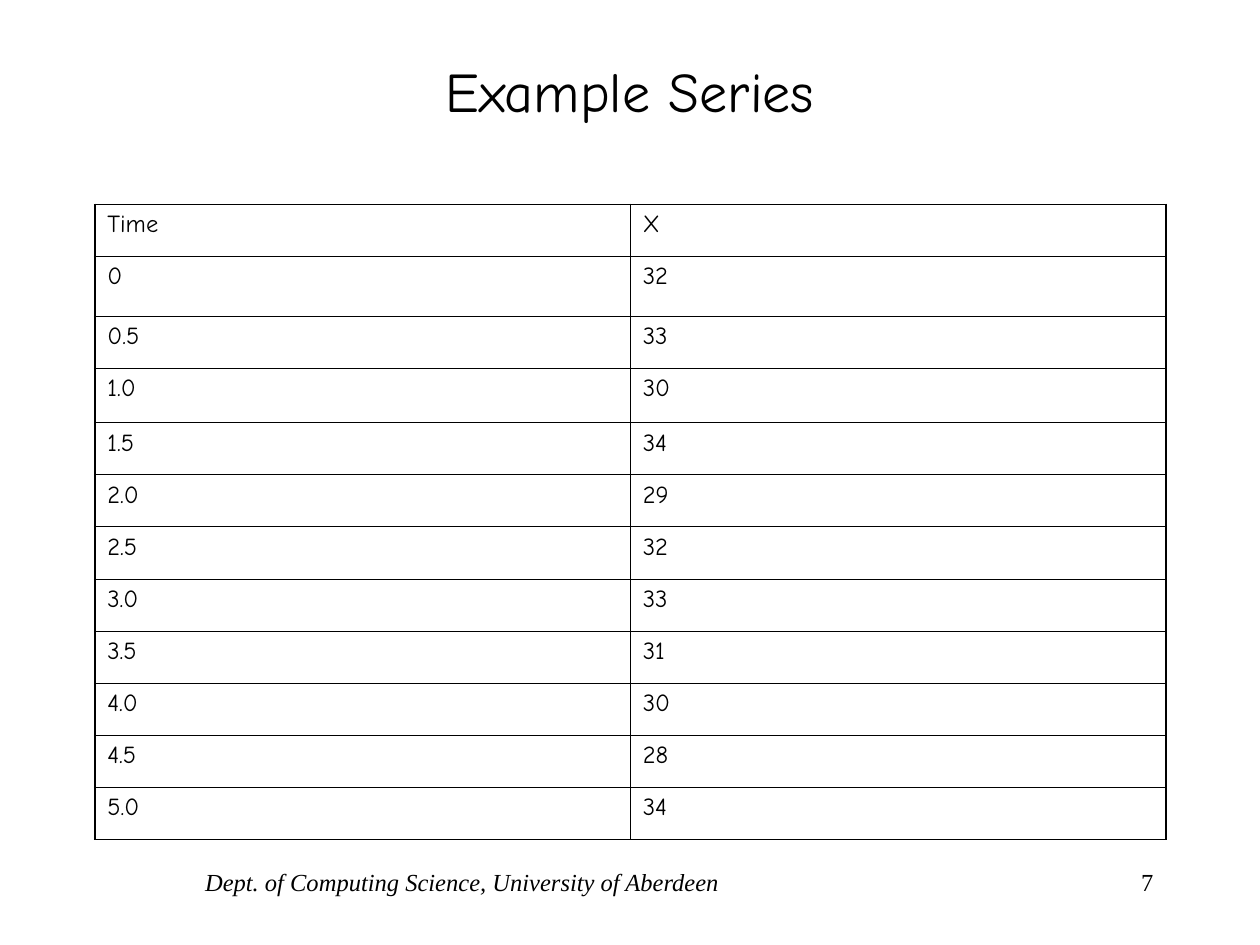
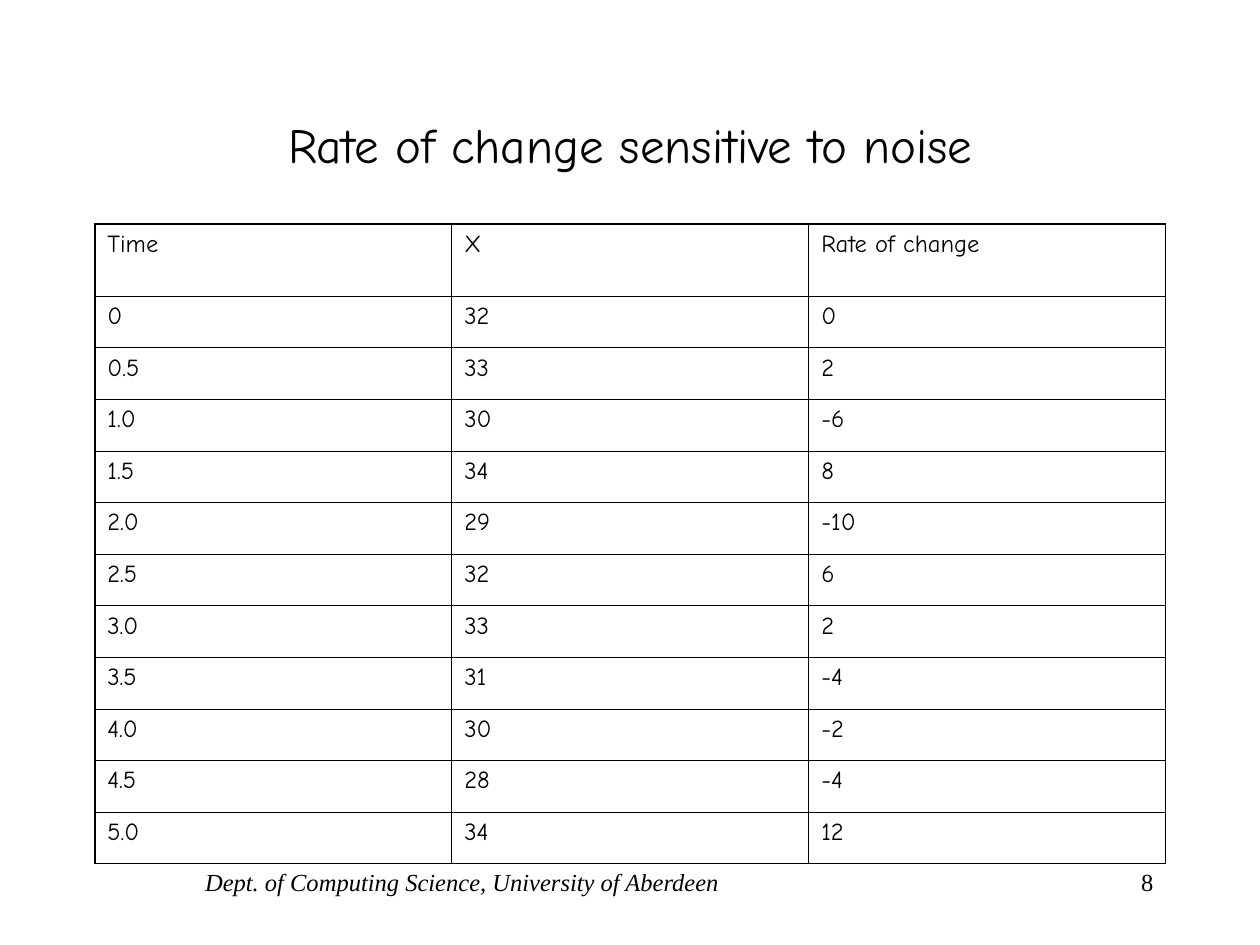
from lxml import etree
from pptx import Presentation
from pptx import util as u
from pptx.dml.color import RGBColor
from pptx.enum import text
from pptx.oxml import ns

BLACK = RGBColor(0x00, 0x00, 0x00)
BODY_FONT = "Comic Neue"
FOOTER_FONT = "Times New Roman"
LEFT, WIDTH = 1.91, 21.59
FOOTER_TOP, FOOTER_HEIGHT = 17.35, 1.27
OUTER_LINE, INNER_LINE = 1.08, 0.45

TIMES = ["0", "0.5", "1.0", "1.5", "2.0", "2.5", "3.0", "3.5", "4.0", "4.5", "5.0"]
READINGS = [32, 33, 30, 34, 29, 32, 33, 31, 30, 28, 34]
TIME_STEP = 0.5
RATES = [0] + [round((after - before) / TIME_STEP)
               for before, after in zip(READINGS, READINGS[1:])]

SLIDES = [
    dict(number=7, title="Example Series", title_size=32, title_top=0.71, title_height=2.21,
         table_top=4.12, row_heights=[1.05, 1.21, 1.05, 1.09] + [1.05] * 8,
         rows=[("Time", "X"), *zip(TIMES, READINGS)]),
    dict(number=8, title="Rate of change sensitive to noise", title_size=28,
         title_top=1.32, title_height=3.18,
         table_top=4.52, row_heights=[1.45] + [1.04] * 11,
         rows=[("Time", "X", "Rate of change"), *zip(TIMES, READINGS, RATES)]),
]


def add_line(slide, words, box, font_name, size, align, anchor=text.MSO_ANCHOR.TOP):
    """Add a one-paragraph text box and return its paragraph."""
    frame = slide.shapes.add_textbox(*(u.Cm(length) for length in box)).text_frame
    frame.word_wrap = True
    frame.vertical_anchor = anchor
    paragraph = frame.paragraphs[0]
    paragraph.text = words
    paragraph.alignment = align
    paragraph.font.name = font_name
    paragraph.font.size = u.Pt(size)
    paragraph.font.color.rgb = BLACK
    return paragraph


def set_borders(cell, **widths):
    """Draw black borders; the keys are L, R, T and B, in that order."""
    properties = cell._tc.get_or_add_tcPr()
    for side, width in widths.items():
        line = etree.SubElement(properties, ns.qn(f"a:ln{side}"), w=str(int(u.Pt(width))))
        fill = etree.SubElement(line, ns.qn("a:solidFill"))
        etree.SubElement(fill, ns.qn("a:srgbClr"), val=str(BLACK))


prs = Presentation()
prs.slide_width, prs.slide_height = u.Cm(25.4), u.Cm(19.05)
blank = prs.slide_layouts[6]

for content in SLIDES:
    slide = prs.slides.add_slide(blank)

    footer = add_line(slide, "Dept. of Computing Science, University of Aberdeen",
                      (LEFT, FOOTER_TOP, 14.82, FOOTER_HEIGHT),
                      FOOTER_FONT, 14, text.PP_ALIGN.CENTER)
    footer.font.italic = True
    add_line(slide, str(content["number"]), (18.21, FOOTER_TOP, 5.29, FOOTER_HEIGHT),
             FOOTER_FONT, 14, text.PP_ALIGN.RIGHT)
    add_line(slide, content["title"],
             (LEFT, content["title_top"], WIDTH, content["title_height"]),
             BODY_FONT, content["title_size"], text.PP_ALIGN.CENTER, text.MSO_ANCHOR.MIDDLE)

    rows, heights = content["rows"], content["row_heights"]
    last_row, last_column = len(rows) - 1, len(rows[0]) - 1
    series = slide.shapes.add_table(
        len(rows), len(rows[0]), u.Cm(LEFT), u.Cm(content["table_top"]),
        u.Cm(WIDTH), u.Cm(sum(heights))).table
    series.first_row = series.horz_banding = False

    for r, (values, height) in enumerate(zip(rows, heights)):
        series.rows[r].height = u.Cm(height)
        for c, value in enumerate(values):
            cell = series.cell(r, c)
            set_borders(cell,
                        L=OUTER_LINE if c == 0 else INNER_LINE,
                        R=OUTER_LINE if c == last_column else INNER_LINE,
                        T=OUTER_LINE if r == 0 else INNER_LINE,
                        B=OUTER_LINE if r == last_row else INNER_LINE)
            cell.fill.background()
            entry = cell.text_frame.paragraphs[0]
            entry.text = str(value)
            entry.space_before = u.Pt(3.5)
            entry.font.name = BODY_FONT
            entry.font.size = u.Pt(14)
            entry.font.color.rgb = BLACK

prs.save("out.pptx")
